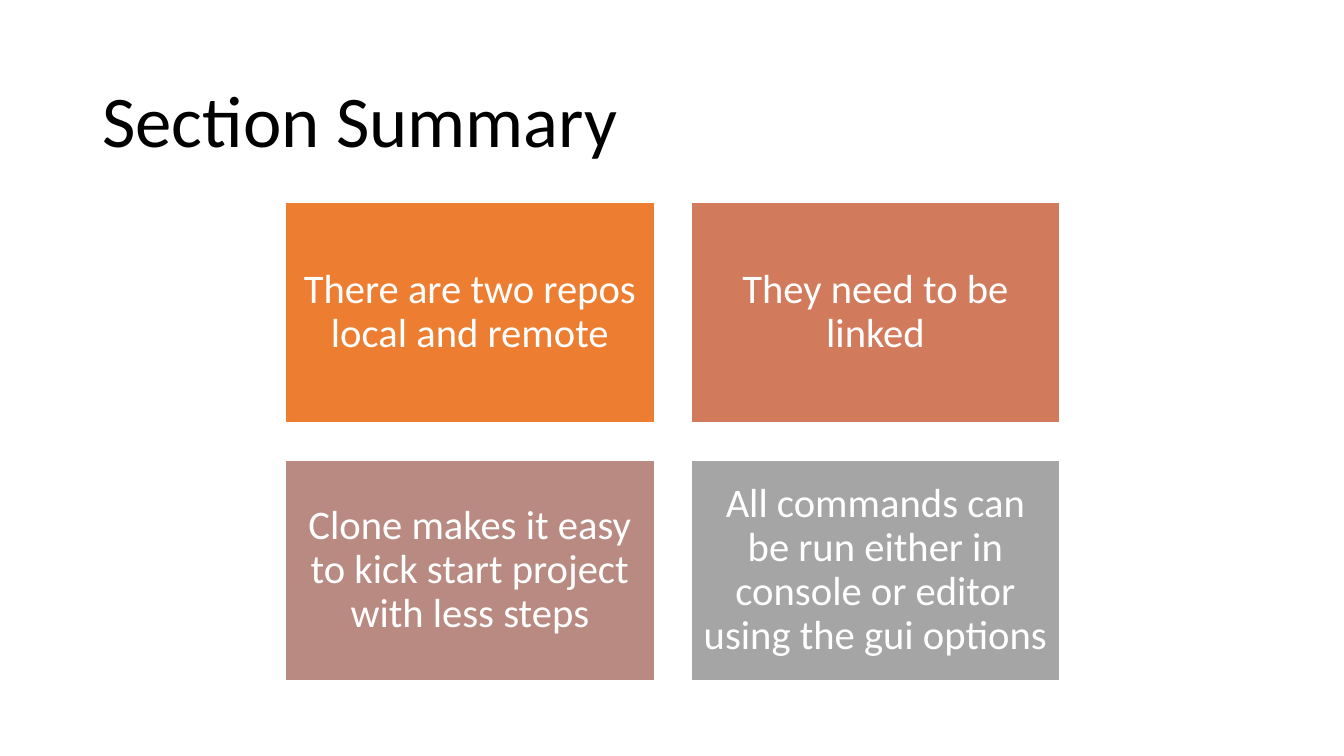
from pptx import Presentation
from pptx.dml.color import RGBColor
from pptx.enum.shapes import MSO_SHAPE
from pptx.enum.text import MSO_ANCHOR, PP_ALIGN
from pptx.util import Cm, Pt

RECTANGLE = MSO_SHAPE.RECTANGLE
MIDDLE = MSO_ANCHOR.MIDDLE
LEFT, CENTER = PP_ALIGN.LEFT, PP_ALIGN.CENTER

BLACK = RGBColor(0x00, 0x00, 0x00)
WHITE = RGBColor(0xFF, 0xFF, 0xFF)
ORANGE = RGBColor(0xED, 0x7D, 0x31)
TERRACOTTA = RGBColor(0xD1, 0x7B, 0x5C)
DUSTY_ROSE = RGBColor(0xB9, 0x8A, 0x82)
GRAY = RGBColor(0xA5, 0xA5, 0xA5)

CARDS = [
    ("There are two repos local and remote", ORANGE),
    ("They need to be linked", TERRACOTTA),
    ("Clone makes it easy to kick start project with less steps", DUSTY_ROSE),
    ("All commands can be run either in console or editor using the gui options", GRAY),
]
COLUMNS = 2
GRID_LEFT, GRID_TOP = Cm(7.2), Cm(5.09)
CARD_WIDTH, CARD_HEIGHT = Cm(9.29), Cm(5.57)
GAP = Cm(0.93)


def write_text(shape, text, size, color, align, margin):
    frame = shape.text_frame
    frame.word_wrap = True
    frame.vertical_anchor = MIDDLE
    frame.margin_left = frame.margin_right = margin
    frame.margin_top = frame.margin_bottom = margin
    para = frame.paragraphs[0]
    para.alignment = align
    para.line_spacing = 0.9
    span = para.add_run()
    span.text = text
    span.font.name = "Calibri"
    span.font.size = Pt(size)
    span.font.color.rgb = color


deck = Presentation()
deck.slide_width, deck.slide_height = Cm(33.87), Cm(19.05)
page = deck.slides.add_slide(deck.slide_layouts.get_by_name("Title Only"))

title = page.shapes.title
title.left, title.top = Cm(2.33), Cm(1.55)
title.width, title.height = Cm(29.21), Cm(3.15)
write_text(title, "Section Summary", 52, BLACK, LEFT, Cm(0.25))

for index, (text, color) in enumerate(CARDS):
    row, column = divmod(index, COLUMNS)
    card = page.shapes.add_shape(
        RECTANGLE,
        GRID_LEFT + column * (CARD_WIDTH + GAP),
        GRID_TOP + row * (CARD_HEIGHT + GAP),
        CARD_WIDTH,
        CARD_HEIGHT,
    )
    card.shadow.inherit = False
    card.fill.solid()
    card.fill.fore_color.rgb = color
    card.line.color.rgb = WHITE
    card.line.width = Pt(1)
    write_text(card, text, 29, WHITE, CENTER, Cm(0.3))

deck.save("out.pptx")
